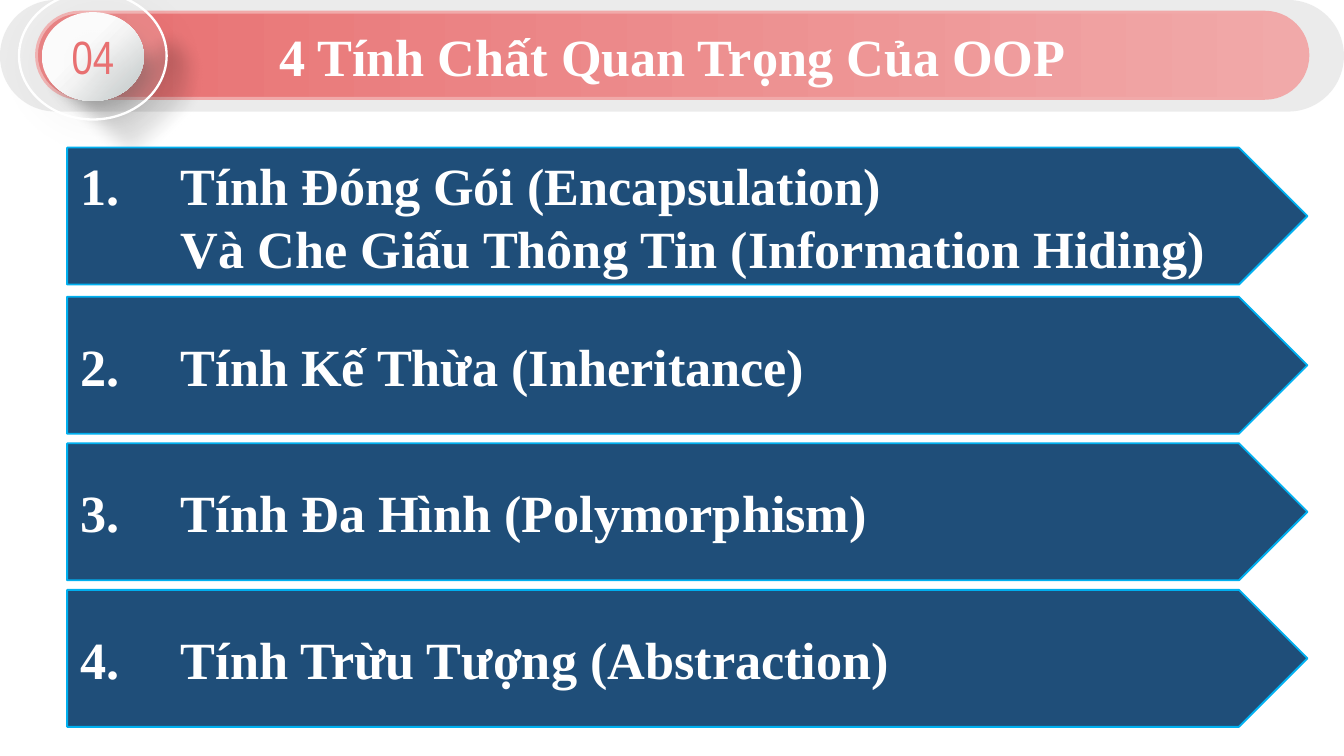
from dataclasses import dataclass

from lxml.etree import SubElement
from pptx import Presentation
from pptx.dml.color import RGBColor
from pptx.enum.shapes import MSO_SHAPE
from pptx.enum.text import MSO_ANCHOR, PP_ALIGN
from pptx.oxml.ns import qn
from pptx.util import Cm, Pt

WHITE = RGBColor(0xFF, 0xFF, 0xFF)
BLACK = RGBColor(0x00, 0x00, 0x00)
GREY = RGBColor(0xD9, 0xD9, 0xD9)
PEARL = RGBColor(0xF7, 0xF7, 0xF7)
STEEL = RGBColor(0xB8, 0xC0, 0xC0)
CHARCOAL = RGBColor(0x49, 0x49, 0x49)
CORAL = RGBColor(0xE8, 0x70, 0x71)
PINK = RGBColor(0xF1, 0xA9, 0xA9)
NAVY = RGBColor(0x1F, 0x4E, 0x79)
CYAN = RGBColor(0x00, 0xB0, 0xF0)

SERIF = "Times New Roman"
NARROW = "Arial Narrow"
TAB = Cm(1.9)


@dataclass
class Stop:
    """A gradient stop; position and opacity in percent."""
    position: int
    color: RGBColor
    opacity: int = 100


@dataclass
class Shadow:
    """An outer shadow; opacity in percent, blur and distance in points."""
    color: RGBColor
    opacity: int
    blur: float
    distance: float
    angle: int = 45


@dataclass
class Property:
    """One arrow of the list; top in centimetres."""
    top: float
    lines: list[str]


PROPERTIES = [
    Property(2.79, ["1.\tTi\u0301nh \u0110o\u0301ng Go\u0301i (Encapsulation) ",
                    "\tVà Che Giấu Thông Tin (Information Hiding)"]),
    Property(5.61, ["2.\tTính Kế Thừa\u00a0(Inheritance)"]),
    Property(8.38, ["3.\tTính Đa Hình (Polymorphism)"]),
    Property(11.15, ["4.\tTính Trừu Tượng (Abstraction)"]),
]

SOFT_START = (1.35, 2.57)
SOFT_CURVES = [
    ((0.86, 1.88), (0.69, 1.09), (1.19, 0.56)),
    ((1.70, 0.05), (2.54, 0.23), (3.20, 0.71)),
    ((3.84, 1.22), (3.84, 2.18), (3.33, 2.72)),
    ((2.82, 3.23), (1.80, 3.25), SOFT_START),
]
SOFT_STOPS = [Stop(position, BLACK, opacity) for position, opacity in (
    (0, 46), (17, 46), (34, 43), (51, 20), (65, 10), (78, 5), (100, 0))]


def add_color(parent, color: RGBColor, opacity: int) -> None:
    """Append an RGB colour with opacity to an XML element."""
    node = SubElement(parent, qn("a:srgbClr"), val=str(color))
    if opacity < 100:
        SubElement(node, qn("a:alpha"), val=str(opacity * 1000))


def fill_gradient(shape, stops: list[Stop], angle: int) -> None:
    """Fill a shape with a linear gradient, angle clockwise."""
    shape.fill.gradient()
    gradient = shape._element.spPr.find(qn("a:gradFill"))
    stop_list = gradient.find(qn("a:gsLst"))
    for old in list(stop_list):
        stop_list.remove(old)
    for stop in stops:
        node = SubElement(stop_list, qn("a:gs"), pos=str(stop.position * 1000))
        add_color(node, stop.color, stop.opacity)
    gradient.find(qn("a:lin")).set("ang", str(angle * 60000))


def fill_solid(shape, color: RGBColor, opacity: int = 100) -> None:
    """Fill a shape with one colour, partly transparent if asked."""
    shape.fill.solid()
    shape.fill.fore_color.rgb = color
    if opacity < 100:
        node = shape._element.spPr.find(qn("a:solidFill"))[0]
        SubElement(node, qn("a:alpha"), val=str(opacity * 1000))


def set_outline(shape, color: RGBColor | None = None, width: float = 1) -> None:
    """Set the outline, or remove it when no colour is given."""
    if color is None:
        shape.line.fill.background()
    else:
        shape.line.color.rgb = color
        shape.line.width = Pt(width)


def add_shadow(shape, shadow: Shadow) -> None:
    """Give a shape an outer shadow."""
    effects = shape._element.spPr.find(qn("a:effectLst"))
    node = SubElement(effects, qn("a:outerShdw"), blurRad=str(Pt(shadow.blur)),
                      dist=str(Pt(shadow.distance)),
                      dir=str(shadow.angle * 60000), algn="tl", rotWithShape="0")
    add_color(node, shadow.color, shadow.opacity)


def add_box(page, kind, left: float, top: float, width: float, height: float):
    """Add a preset shape, in centimetres, without shadow or outline."""
    box = page.shapes.add_shape(kind, Cm(left), Cm(top), Cm(width), Cm(height))
    box.shadow.inherit = False
    set_outline(box)
    return box


def write_text(box, lines: list[str], *, font: str = SERIF, size: float = 28,
               color: RGBColor = WHITE, bold: bool = True,
               align=PP_ALIGN.CENTER, hanging: int = 0) -> None:
    """Write one paragraph per line, with an optional hanging indent."""
    frame = box.text_frame
    frame.word_wrap = True
    frame.vertical_anchor = MSO_ANCHOR.MIDDLE
    for index, line in enumerate(lines):
        para = frame.add_paragraph() if index else frame.paragraphs[0]
        para.alignment = align
        if hanging:
            properties = para._p.get_or_add_pPr()
            properties.set("marL", str(hanging))
            properties.set("indent", str(-hanging))
        span = para.add_run()
        span.text = line
        span.font.name = font
        span.font.size = Pt(size)
        span.font.bold = bold
        span.font.color.rgb = color


def curve_points(start, curves, steps: int = 12) -> list[tuple[float, float]]:
    """Sample a chain of cubic curves."""
    points = []
    for first, second, end in curves:
        for step in range(1, steps + 1):
            t = step / steps
            u = 1 - t
            points.append(tuple(
                u**3 * a + 3 * u * u * t * b + 3 * u * t * t * c + t**3 * d
                for a, b, c, d in zip(start, first, second, end)))
        start = end
    return points


def draw_banner(page) -> None:
    """Draw the title bar on its pale backing."""
    backing = add_box(page, MSO_SHAPE.ROUNDED_RECTANGLE, 0, 0, 25.4, 2.11)
    fill_solid(backing, GREY, 50)
    bar = add_box(page, MSO_SHAPE.ROUNDED_RECTANGLE, 0.69, 0.23, 24.03, 1.63)
    fill_gradient(bar, [Stop(0, CORAL), Stop(100, PINK)], 0)
    set_outline(bar, PINK, 1.5)
    backing.adjustments[0] = bar.adjustments[0] = 0.5
    write_text(bar, ["4 Tính Chất Quan Trọng Của OOP"])


def draw_badge(page) -> None:
    """Draw the numbered ball with its soft shadow and ring."""
    builder = page.shapes.build_freeform(*SOFT_START, scale=Cm(1))
    builder.add_line_segments(curve_points(SOFT_START, SOFT_CURVES), close=True)
    soft = builder.convert_to_shape()
    soft.rotation = 315
    soft.shadow.inherit = False
    set_outline(soft)
    fill_gradient(soft, SOFT_STOPS, 90)
    SubElement(soft._element.spPr.find(qn("a:effectLst")), qn("a:softEdge"),
               rad=str(Cm(0.35)))

    base = add_box(page, MSO_SHAPE.OVAL, 1.02, 0.46, 1.63, 1.4)
    fill_gradient(base, [Stop(0, WHITE), Stop(43, PEARL), Stop(100, STEEL)], 45)
    add_shadow(base, Shadow(CHARCOAL, 30, 11, 7))
    ball = add_box(page, MSO_SHAPE.OVAL, 0.79, 0.23, 1.93, 1.68)
    fill_gradient(ball, [Stop(11, WHITE), Stop(39, WHITE), Stop(53, PEARL),
                         Stop(100, STEEL)], 45)
    ring = add_box(page, MSO_SHAPE.OVAL, 0.36, -0.15, 2.79, 2.41)
    fill_solid(ring, WHITE, 14)
    set_outline(ring, WHITE, 1.25)
    add_shadow(ring, Shadow(BLACK, 11, 17, 7))
    write_text(ring, ["04"], font=NARROW, size=25, color=CORAL, bold=False)


def draw_property(page, item: Property) -> None:
    """Draw one arrow with its numbered text."""
    arrow = add_box(page, MSO_SHAPE.PENTAGON, 1.27, item.top, 23.44, 2.59)
    fill_solid(arrow, NAVY)
    set_outline(arrow, CYAN)
    write_text(arrow, item.lines, align=PP_ALIGN.LEFT, hanging=TAB)


deck = Presentation()
deck.slide_width, deck.slide_height = Cm(25.4), Cm(14.29)
page = deck.slides.add_slide(deck.slide_layouts[6])
draw_banner(page)
draw_badge(page)
for item in PROPERTIES:
    draw_property(page, item)
deck.save("out.pptx")
